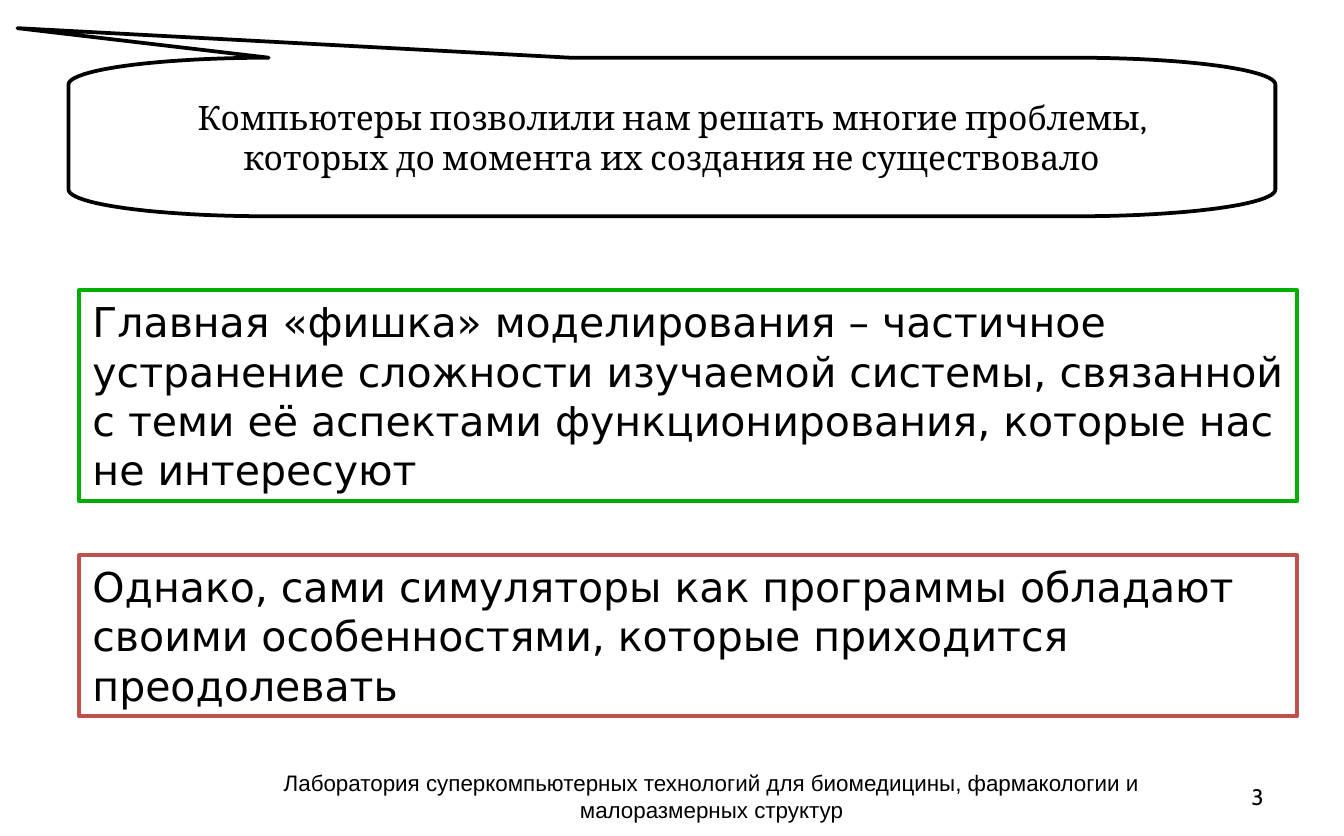
import math
import pptx
import pptx.util
import pptx.dml.color
import pptx.enum.shapes
import pptx.enum.text

Inches = pptx.util.Inches
Align = pptx.enum.text.PP_ALIGN
Anchor = pptx.enum.text.MSO_ANCHOR
Fit = pptx.enum.text.MSO_AUTO_SIZE

BLACK, WHITE, GREEN, RED = "000000", "FFFFFF", "00AE00", "C0504D"


def color(code):
    return pptx.dml.color.RGBColor.from_string(code)


class Deck:
    """Holds the style and the current slide."""
    small, quote, large = 12, 18, 22
    border = 2

    def __init__(self, width, height):
        self.show = pptx.Presentation()
        self.show.slide_width = Inches(width)
        self.show.slide_height = Inches(height)
        self.slide = self.show.slides.add_slide(self.show.slide_layouts[6])

    def letter(self, shape, text, size, font, align, anchor):
        frame = shape.text_frame
        frame.word_wrap = True
        frame.vertical_anchor = anchor
        para = frame.paragraphs[0]
        para.alignment = align
        run = para.add_run()
        run.text = text
        run.font.size = pptx.util.Pt(size)
        run.font.name = font
        run.font.color.rgb = color(BLACK)
        return frame

    def paint(self, shape, edge):
        shape.shadow.inherit = False
        shape.fill.solid()
        shape.fill.fore_color.rgb = color(WHITE)
        shape.line.color.rgb = color(edge)
        shape.line.width = pptx.util.Pt(self.border)

    def label(self, place, text, font, align):
        shape = self.slide.shapes.add_textbox(*map(Inches, place))
        self.letter(shape, text, self.small, font, align, Anchor.MIDDLE)

    def box(self, place, text, edge):
        kind = pptx.enum.shapes.MSO_SHAPE.RECTANGLE
        shape = self.slide.shapes.add_shape(kind, *map(Inches, place))
        self.paint(shape, edge)
        frame = self.letter(shape, text, self.large, "DejaVu Sans",
                            Align.LEFT, Anchor.TOP)
        frame.auto_size = Fit.SHAPE_TO_FIT_TEXT

    def bubble(self, place, curve, tail, tip, text, pad):
        """Speech bubble with elliptical corners and a tail on its top edge."""
        left, top, width, height = place
        right, low = left + width, top + height
        rx, ry = curve
        # Corner centres, counterclockwise from the top left
        hubs = [(left + rx, top + ry), (left + rx, low - ry),
                (right - rx, low - ry), (right - rx, top + ry)]
        steps = 24
        dots = []
        for turn, (x, y) in enumerate(hubs):
            for step in range(steps + 1):
                angle = math.pi / 2 * (1 + turn + step / steps)
                dots.append((x + rx * math.cos(angle),
                             y - ry * math.sin(angle)))
        dots += [(tail, top), tip]
        dots = [(Inches(x), Inches(y)) for x, y in dots]
        pen = self.slide.shapes.build_freeform(*dots[0], scale=1.0)
        pen.add_line_segments(dots[1:], close=True)
        shape = pen.convert_to_shape()
        self.paint(shape, BLACK)
        frame = self.letter(shape, text, self.quote, "Cambria",
                            Align.CENTER, Anchor.MIDDLE)
        # Centre the text on the body, leaving the tail out
        frame.margin_left = Inches(left - tip[0] + pad)
        frame.margin_right = Inches(pad)
        frame.margin_top = Inches(top - tip[1])
        frame.margin_bottom = 0


def main():
    deck = Deck(10, 6.22)

    # Footer and page number
    deck.label((1.67, 5.76, 7.25, 0.33),
               "Лаборатория суперкомпьютерных технологий для биомедицины, "
               "фармакологии и малоразмерных структур", "Arial", Align.CENTER)
    deck.label((9.08, 5.76, 0.42, 0.33), "3", "Cabin", Align.RIGHT)

    # Two framed statements
    deck.box((0.59, 2.16, 9.06, 1.57),
             "Главная «фишка» моделирования – частичное устранение сложности "
             "изучаемой системы, связанной с теми её аспектами "
             "функционирования, которые нас не интересуют", GREEN)
    deck.box((0.59, 4.13, 9.06, 1.2),
             "Однако, сами симуляторы как программы обладают своими "
             "особенностями, которые приходится преодолевать", RED)

    # Quote in a speech bubble
    deck.bubble((0.51, 0.43, 8.98, 1.18), (1.49, 0.2), 4.24, (0.13, 0.21),
                "Компьютеры позволили нам решать многие проблемы, "
                "которых до момента их создания не существовало", 0.6)

    deck.show.save("out.pptx")


if __name__ == "__main__":
    main()
